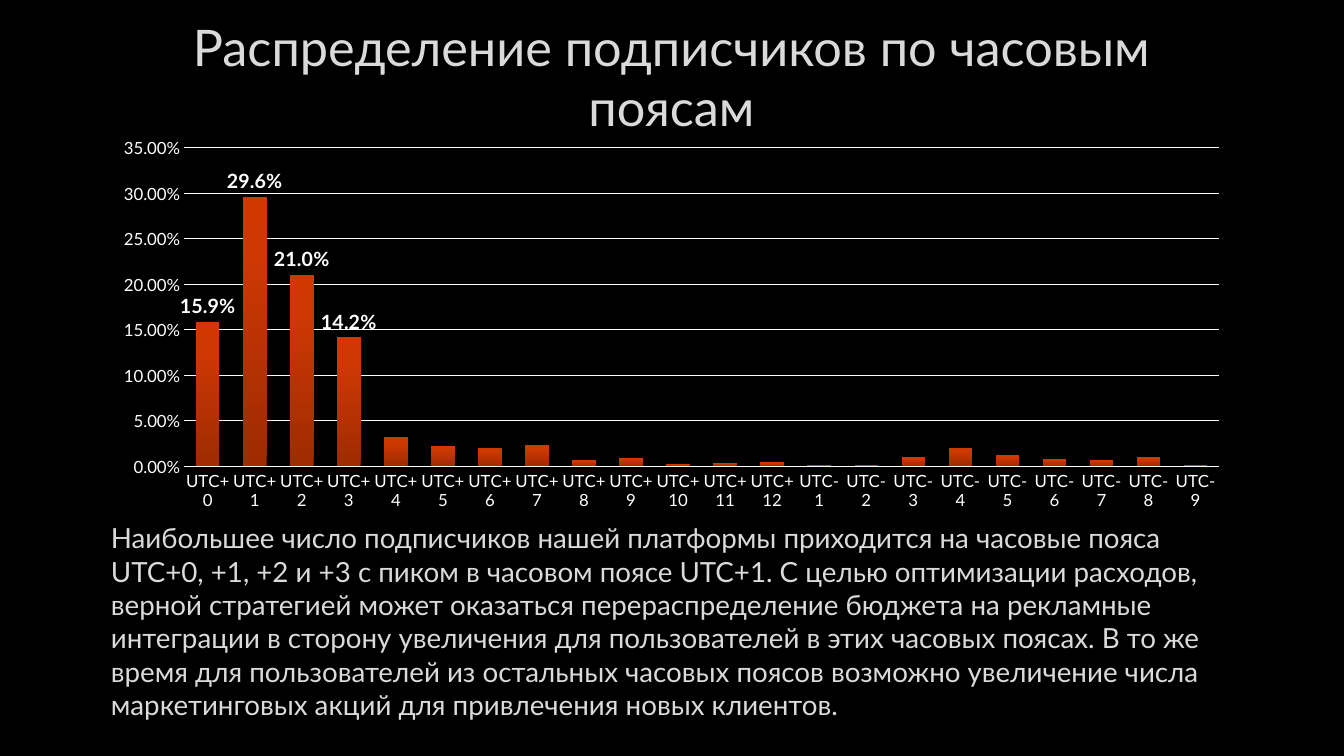
from lxml.etree import SubElement
from pptx import Presentation
from pptx.chart.data import CategoryChartData
from pptx.dml.color import RGBColor
from pptx.enum.chart import XL_CHART_TYPE, XL_LABEL_POSITION, XL_TICK_MARK
from pptx.enum.text import MSO_ANCHOR, PP_ALIGN
from pptx.oxml.ns import qn
from pptx.util import Emu, Pt

TITLE = "Распределение подписчиков по часовым поясам"
SUMMARY = (
    "Наибольшее число подписчиков нашей платформы приходится на часовые пояса "
    "UTC+0, +1, +2 и +3 с пиком в часовом поясе UTC+1. С целью оптимизации расходов, "
    "верной стратегией может оказаться перераспределение бюджета на рекламные "
    "интеграции в сторону увеличения для пользователей в этих часовых поясах. В то же "
    "время для пользователей из остальных часовых поясов возможно увеличение числа "
    "маркетинговых акций для привлечения новых клиентов."
)
EAST_PERCENTS = [15.89, 29.60, 21.02, 14.15, 3.16, 2.24, 1.98, 2.32, 0.65, 0.91, 0.24, 0.36, 0.44]
WEST_PERCENTS = [0.19, 0.10, 0.96, 2.00, 1.20, 0.80, 0.71, 0.97, 0.10]
LABELLED_ZONES = 4

FONT = "Lato"
BLACK = RGBColor(0x00, 0x00, 0x00)
WHITE = RGBColor(0xFF, 0xFF, 0xFF)
LIGHT_GRAY = RGBColor(0xDA, 0xDA, 0xDA)
BAR_GRADIENT = [
    (0, RGBColor(0x9E, 0x2B, 0x02)),
    (80, RGBColor(0xCE, 0x38, 0x03)),
    (100, RGBColor(0xD1, 0x37, 0x00)),
]

PX = 914400 / 100.8
LEFT, WIDTH = 101, 1141
TITLE_TOP, CHART_TOP, SUMMARY_TOP, SUMMARY_BOTTOM = 23, 130, 518, 724


def px(length):
    return Emu(round(length * PX))


def box(top, bottom):
    return px(LEFT), px(top), px(WIDTH), px(bottom - top)


def set_font(font, size, color, bold=False):
    for name, value in {"name": FONT, "size": Pt(size), "bold": bold}.items():
        setattr(font, name, value)
    font.color.rgb = color


def add_text(slide, text, top, bottom, size, alignment):
    frame = slide.shapes.add_textbox(*box(top, bottom)).text_frame
    frame.word_wrap = True
    frame.vertical_anchor = MSO_ANCHOR.MIDDLE
    paragraph = frame.paragraphs[0]
    paragraph.alignment = alignment
    run = paragraph.add_run()
    run.text = text
    set_font(run.font, size, LIGHT_GRAY)


def fill_bars(series):
    fill = series.format.fill
    fill.gradient()
    fill.gradient_angle = 90
    stops = series.format.fill._xPr.find(qn("a:gradFill")).find(qn("a:gsLst"))
    for stop in list(stops):
        stops.remove(stop)
    for position, color in BAR_GRADIENT:
        stop = SubElement(stops, qn("a:gs"), pos=str(position * 1000))
        SubElement(stop, qn("a:srgbClr"), val=str(color))


def style_axis(axis):
    axis.major_tick_mark = axis.minor_tick_mark = XL_TICK_MARK.NONE
    set_font(axis.tick_labels.font, 12, WHITE)


def add_zone_chart(slide):
    data = CategoryChartData(number_format="0.0%")
    data.categories = [f"UTC+{hour}" for hour in range(len(EAST_PERCENTS))] + [
        f"UTC-{hour}" for hour in range(1, len(WEST_PERCENTS) + 1)
    ]
    shares = [round(percent / 100, 4) for percent in EAST_PERCENTS + WEST_PERCENTS]
    data.add_series("Series 1", shares)
    chart = slide.shapes.add_chart(
        XL_CHART_TYPE.COLUMN_CLUSTERED, *box(CHART_TOP, SUMMARY_TOP), data
    ).chart
    chart.has_title = False
    chart.has_legend = False
    set_font(chart.font, 10, WHITE)

    plot = chart.plots[0]
    plot.gap_width = 100
    plot.overlap = -24
    plot.vary_by_categories = False
    series = plot.series[0]
    fill_bars(series)
    series.data_labels.show_value = False
    for index in range(LABELLED_ZONES):
        label = series.points[index].data_label
        set_font(label.font, 14, WHITE, bold=True)
        label.position = XL_LABEL_POSITION.OUTSIDE_END

    zones, share = chart.category_axis, chart.value_axis
    style_axis(zones)
    style_axis(share)
    zones.format.line.color.rgb = WHITE
    zones.format.line.width = Pt(1)
    share.format.line.fill.background()
    share.has_major_gridlines = True
    share.major_gridlines.format.line.color.rgb = WHITE
    share.major_gridlines.format.line.width = Pt(0.75)
    share.minimum_scale, share.maximum_scale, share.major_unit = 0, 0.35, 0.05
    share.tick_labels.number_format = "0.00%"
    share.tick_labels.number_format_is_linked = False


def main():
    presentation = Presentation()
    presentation.slide_width = px(1344)
    presentation.slide_height = px(756)
    slide = presentation.slides.add_slide(presentation.slide_layouts[6])
    slide.background.fill.solid()
    slide.background.fill.fore_color.rgb = BLACK
    add_text(slide, TITLE, TITLE_TOP, CHART_TOP, 36, PP_ALIGN.CENTER)
    add_zone_chart(slide)
    add_text(slide, SUMMARY, SUMMARY_TOP, SUMMARY_BOTTOM, 19.8, PP_ALIGN.LEFT)
    presentation.save("out.pptx")


if __name__ == "__main__":
    main()
